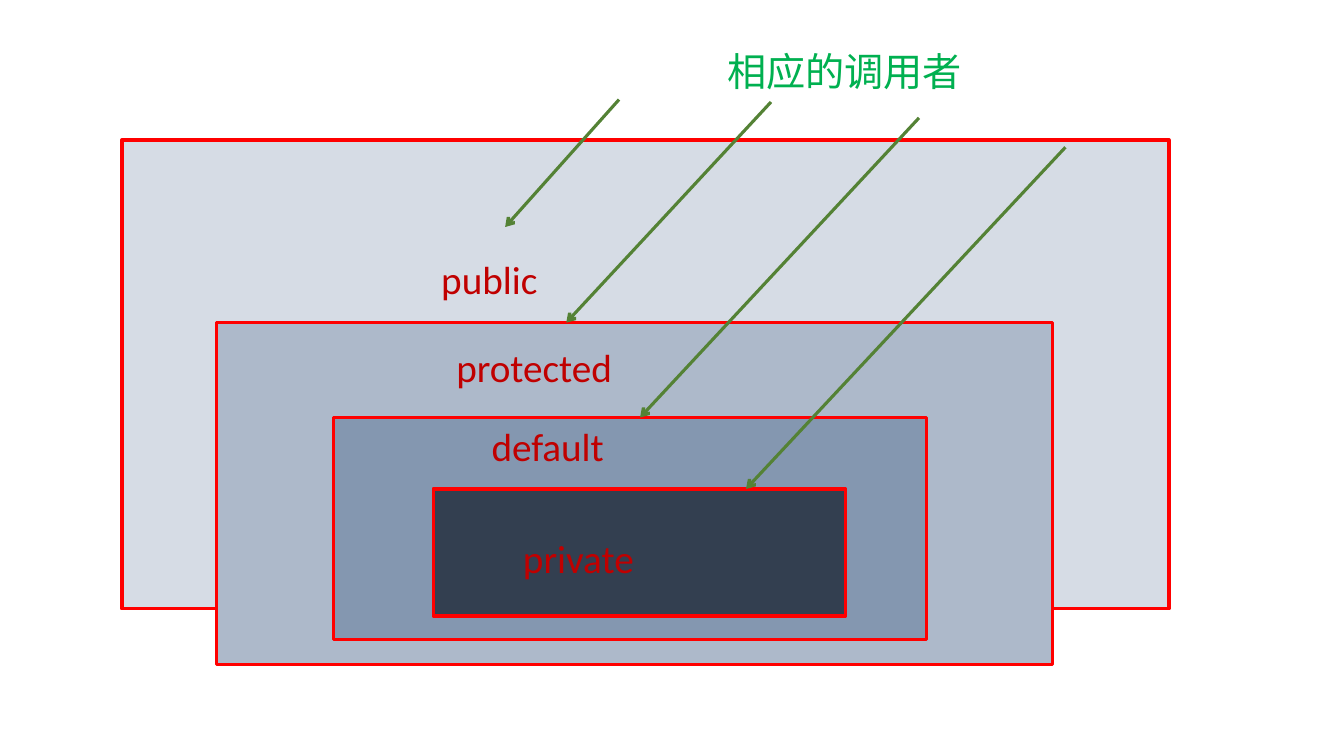
from dataclasses import dataclass

from lxml import etree
from pptx import Presentation
from pptx.dml.color import RGBColor
from pptx.enum.shapes import MSO_CONNECTOR, MSO_SHAPE
from pptx.enum.text import MSO_AUTO_SIZE
from pptx.oxml.ns import qn
from pptx.util import Cm, Pt

RECTANGLE = MSO_SHAPE.RECTANGLE
STRAIGHT = MSO_CONNECTOR.STRAIGHT
GROW = MSO_AUTO_SIZE.SHAPE_TO_FIT_TEXT

COLOURS = {
    "public": "D6DCE5",
    "protected": "ADB9CA",
    "default": "8497B0",
    "private": "333F50",
    "border": "FF0000",
    "label": "C00000",
    "caption": "00B050",
    "arrow": "548235",
}
LABEL_HEIGHT = 1.45


@dataclass
class Access:
    """An access level: its area, its label and its caller's arrow, in cm."""
    name: str
    area: tuple[float, float, float, float]
    label: tuple[float, float, float]
    start: tuple[float, float]
    end: tuple[float, float]


LEVELS = [
    Access("public", (3.07, 3.53, 26.39, 11.81), (10.87, 6.32, 5.05),
           (15.6, 2.51), (12.73, 5.72)),
    Access("protected", (5.46, 8.13, 21.06, 8.61), (11.25, 8.53, 6.6),
           (19.43, 2.57), (14.27, 8.13)),
    Access("default", (8.41, 10.52, 14.94, 5.59), (12.14, 10.52, 5.05),
           (23.16, 2.97), (16.13, 10.52)),
    Access("private", (10.92, 12.32, 10.39, 3.2), (12.93, 13.34, 5.05),
           (26.85, 3.71), (18.8, 12.32)),
]


def colour(name: str) -> RGBColor:
    return RGBColor.from_string(COLOURS[name])


def add_area(page, level: Access) -> None:
    box = page.shapes.add_shape(RECTANGLE, *map(Cm, level.area))
    box.shadow.inherit = False
    box.fill.solid()
    box.fill.fore_color.rgb = colour(level.name)
    box.line.color.rgb = colour("border")
    box.line.width = Pt(2.5)


def add_text(page, text: str, place: tuple[float, float, float], *,
             ink: str, font: str = "Calibri", size: float = 28) -> None:
    left, top, width = map(Cm, place)
    box = page.shapes.add_textbox(left, top, width, Cm(LABEL_HEIGHT))
    box.text_frame.word_wrap = True
    box.text_frame.auto_size = GROW
    span = box.text_frame.paragraphs[0].add_run()
    span.text = text
    span.font.name = font
    span.font.size = Pt(size)
    span.font.color.rgb = colour(ink)
    # East Asian characters take their own typeface
    etree.SubElement(span.font._element, qn("a:ea"), typeface=font)


def add_arrow(page, level: Access) -> None:
    arrow = page.shapes.add_connector(
        STRAIGHT, *map(Cm, level.start + level.end))
    arrow.line.color.rgb = colour("arrow")
    arrow.line.width = Pt(2.25)
    etree.SubElement(arrow.line._get_or_add_ln(), qn("a:tailEnd"), type="arrow")
    etree.SubElement(arrow._element.spPr, qn("a:effectLst"))


def main() -> None:
    deck = Presentation()
    deck.slide_width, deck.slide_height = Cm(33.87), Cm(19.05)
    page = deck.slides.add_slide(deck.slide_layouts[6])

    # Nested areas, widest access at the back
    for level in LEVELS:
        add_area(page, level)

    # Names of the levels
    for level in reversed(LEVELS):
        add_text(page, level.name, level.label, ink="label")

    # Callers
    for level in LEVELS:
        add_arrow(page, level)
    add_text(page, "相应的调用者", (18.08, 1.07, 11.46),
             ink="caption", font="Noto Sans CJK SC")

    deck.save("out.pptx")


if __name__ == "__main__":
    main()
